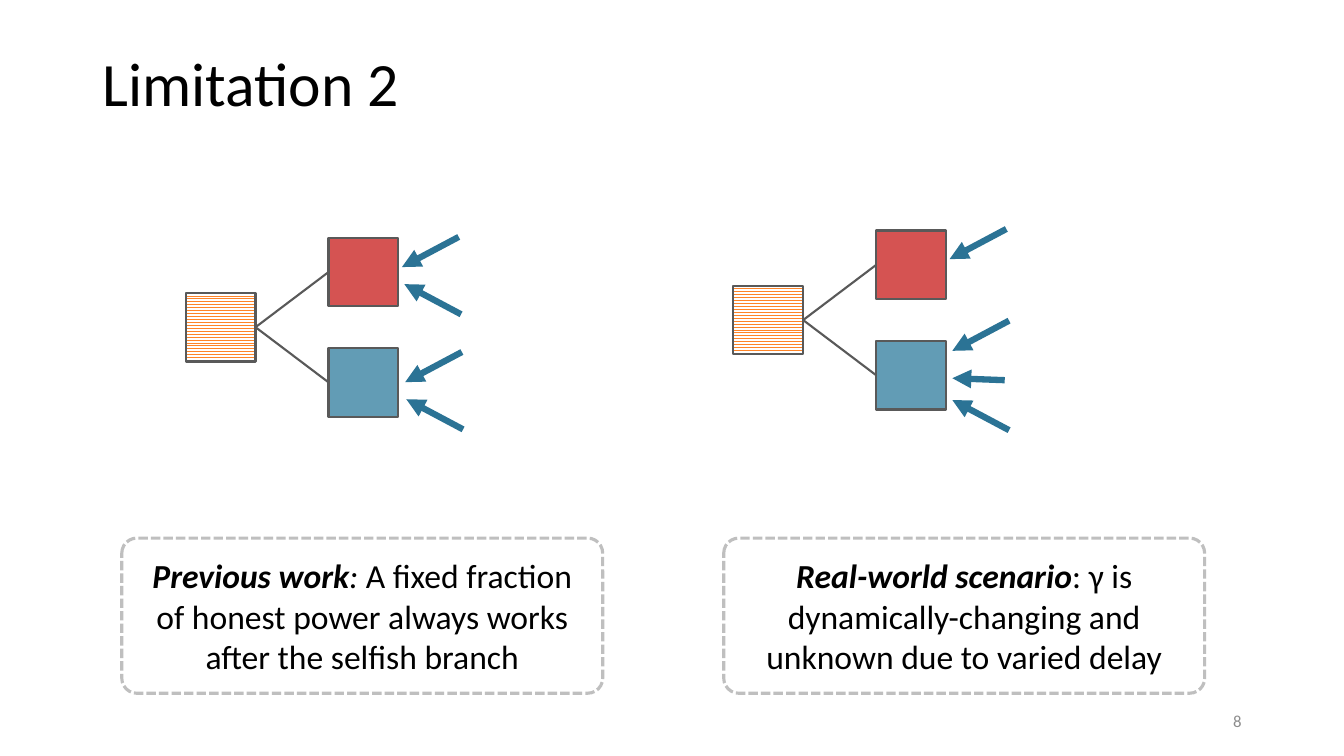
from lxml import etree
from pptx import Presentation
from pptx.dml.color import RGBColor
from pptx.enum.dml import MSO_LINE, MSO_PATTERN
from pptx.enum.shapes import MSO_CONNECTOR, MSO_SHAPE
from pptx.enum.text import MSO_ANCHOR, PP_ALIGN
from pptx.oxml.ns import qn
from pptx.util import Cm, Pt

RECT, ROUNDED = MSO_SHAPE.RECTANGLE, MSO_SHAPE.ROUNDED_RECTANGLE
STRAIGHT = MSO_CONNECTOR.STRAIGHT
ZIG_ZAG, SHORT_DASH = MSO_PATTERN.ZIG_ZAG, MSO_LINE.SQUARE_DOT
MIDDLE = MSO_ANCHOR.MIDDLE
LEFT, CENTER, RIGHT = PP_ALIGN.LEFT, PP_ALIGN.CENTER, PP_ALIGN.RIGHT

BLACK = RGBColor(0x00, 0x00, 0x00)
WHITE = RGBColor(0xFF, 0xFF, 0xFF)
PAGE_GREY = RGBColor(0x8C, 0x8C, 0x8C)
OUTLINE = RGBColor(0x59, 0x59, 0x59)
FRAME = RGBColor(0xBF, 0xBF, 0xBF)
ORANGE = RGBColor(0xFF, 0x84, 0x27)
RED = RGBColor(0xD5, 0x53, 0x52)
BLUE = RGBColor(0x62, 0x9C, 0xB5)
ARROW_BLUE = RGBColor(0x2B, 0x73, 0x95)

BLOCK_W, BLOCK_H = 1.76, 1.73
FORK_DX, FORK_DY = 3.6, 1.39
ARROW_DX, ARROW_DY = 1.43, 0.76


def add_text(frame, text, size=24, color=BLACK, align=LEFT, bold=False, italic=False):
    """Append a run to the frame's first paragraph."""
    frame.word_wrap = True
    frame.vertical_anchor = MIDDLE
    paragraph = frame.paragraphs[0]
    paragraph.alignment = align
    run = paragraph.add_run()
    run.text = text
    run.font.name = "Calibri"
    run.font.size = Pt(size)
    run.font.bold = bold
    run.font.italic = italic
    run.font.color.rgb = color


def add_line(x1, y1, x2, y2, color=OUTLINE, width=1.5):
    """Draw a straight line without shadow."""
    line = slide.shapes.add_connector(STRAIGHT, Cm(x1), Cm(y1), Cm(x2), Cm(y2))
    line.line.color.rgb = color
    line.line.width = Pt(width)
    etree.SubElement(line._element.spPr, qn("a:effectLst"))
    return line


prs = Presentation()
prs.slide_width, prs.slide_height = Cm(33.87), Cm(19.05)
slide = prs.slides.add_slide(prs.slide_layouts[6])

# Title and page number
title = slide.shapes.add_textbox(Cm(2.33), Cm(1.01), Cm(29.21), Cm(2.33))
add_text(title.text_frame, "Limitation 2", size=44)
title.text_frame.paragraphs[0].line_spacing = 0.9
page = slide.shapes.add_textbox(Cm(23.92), Cm(17.66), Cm(7.62), Cm(1.01))
add_text(page.text_frame, "8", size=12, color=PAGE_GREY, align=RIGHT)

# Each scenario: root block position, arrows (tip x, tip y, dx, dy),
# caption left edge, caption runs (text, bold, italic)
scenarios = [
    (4.68, 7.38,
     [(10.13, 6.73, ARROW_DX, -ARROW_DY), (10.19, 7.16, ARROW_DX, ARROW_DY),
      (10.21, 9.63, ARROW_DX, -ARROW_DY), (10.24, 10.06, ARROW_DX, ARROW_DY)],
     3.07,
     [("Previous work", True, True), (": ", False, True),
      ("A fixed fraction of honest power always works after the selfish branch",
       False, False)]),
    (18.48, 7.2,
     [(23.93, 6.53, ARROW_DX, -ARROW_DY), (24, 8.84, ARROW_DX, -ARROW_DY),
      (24, 9.53, 1.32, 0.05), (24, 10.08, ARROW_DX, ARROW_DY)],
     18.24,
     [("Real-world scenario", True, True),
      (": γ is dynamically-changing and unknown due to varied delay",
       False, False)]),
]

for root_x, root_y, arrows, caption_x, caption_runs in scenarios:
    # Root block and its two competing branches
    blocks = []
    for dx, dy, color in [(0, 0, None), (FORK_DX, -FORK_DY, RED),
                          (FORK_DX, FORK_DY, BLUE)]:
        block = slide.shapes.add_shape(
            RECT, Cm(root_x + dx), Cm(root_y + dy), Cm(BLOCK_W), Cm(BLOCK_H))
        block.shadow.inherit = False
        block.line.color.rgb = OUTLINE
        block.line.width = Pt(1.5)
        if color is None:
            block.fill.patterned()
            block.fill.pattern = ZIG_ZAG
            block.fill.fore_color.rgb = ORANGE
            block.fill.back_color.rgb = WHITE
        else:
            block.fill.solid()
            block.fill.fore_color.rgb = color
        blocks.append(block)
    root, *branches = blocks
    for branch in branches:
        link = add_line(0, 0, 1, 1)
        link.begin_connect(root, 3)
        link.end_connect(branch, 1)

    # Mining power pointing at the branches
    for tip_x, tip_y, dx, dy in arrows:
        arrow = add_line(tip_x + dx, tip_y + dy, tip_x, tip_y, ARROW_BLUE, 4.5)
        etree.SubElement(arrow.line._get_or_add_ln(), qn("a:tailEnd"), type="triangle")

    # Caption
    caption = slide.shapes.add_shape(
        ROUNDED, Cm(caption_x), Cm(13.56), Cm(12.12), Cm(3.91))
    caption.adjustments[0] = 0.097
    caption.shadow.inherit = False
    caption.fill.background()
    caption.line.color.rgb = FRAME
    caption.line.width = Pt(2.25)
    caption.line.dash_style = SHORT_DASH
    for text, bold, italic in caption_runs:
        add_text(caption.text_frame, text, align=CENTER, bold=bold, italic=italic)

prs.save("out.pptx")
